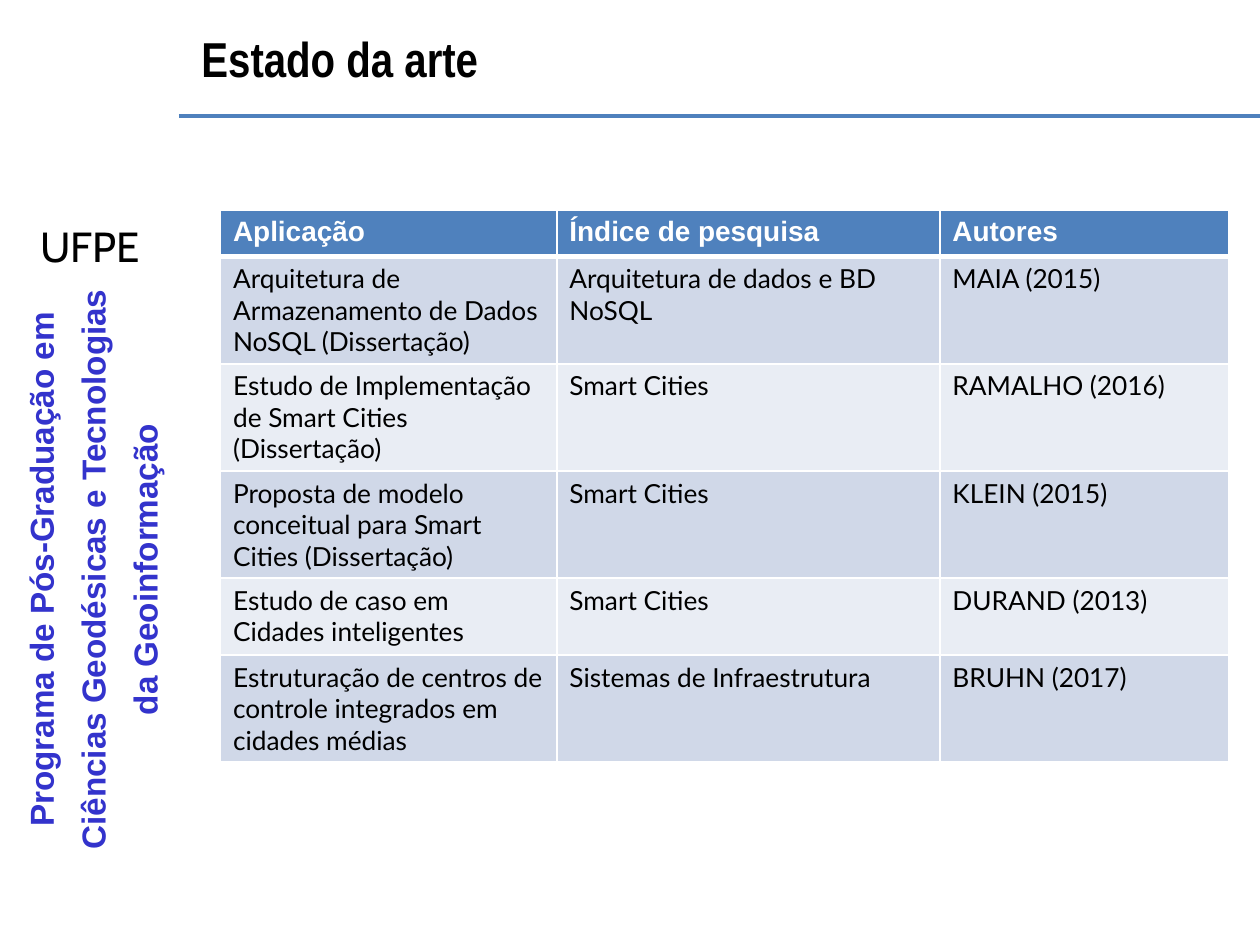
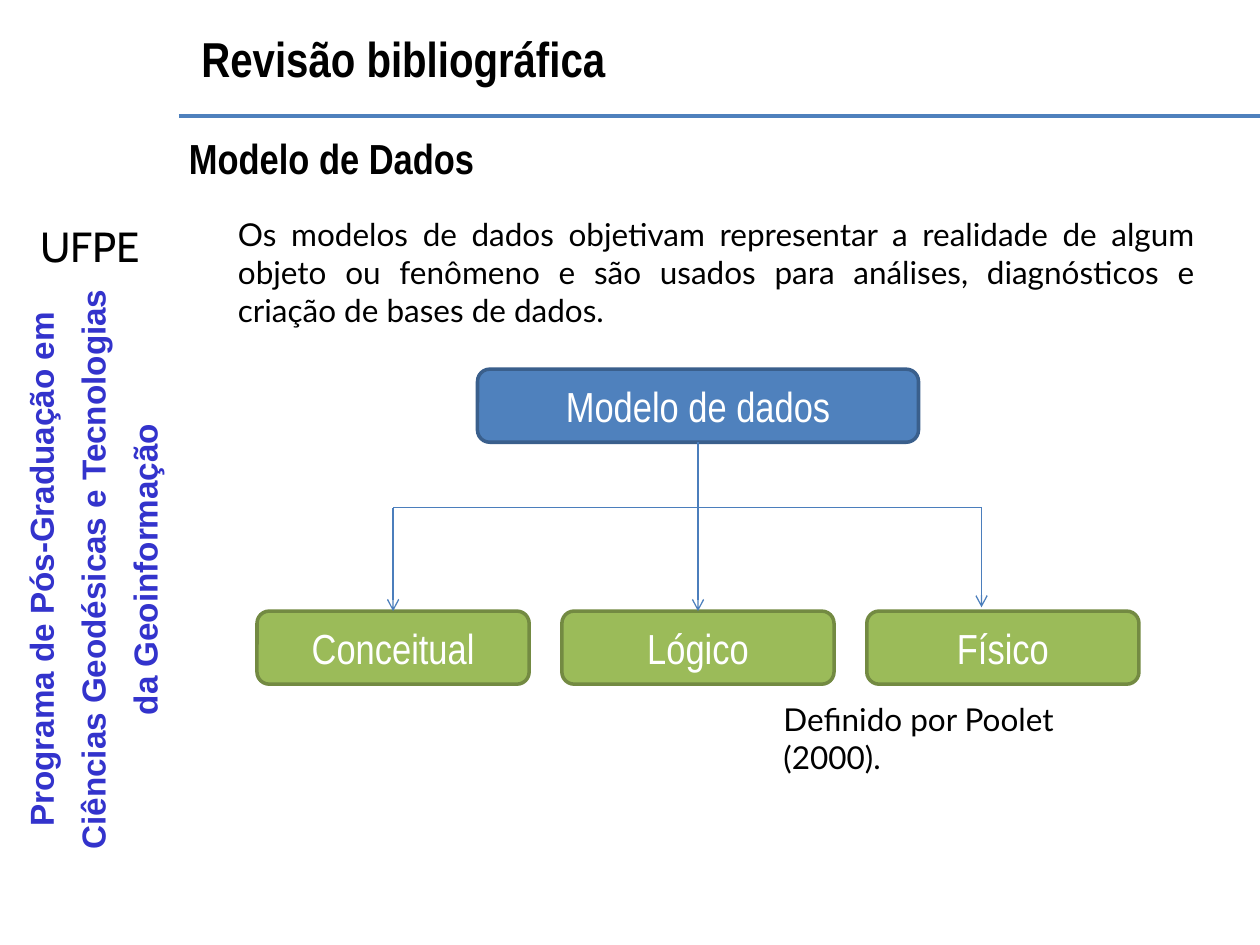
from lxml import etree
from pptx import Presentation
from pptx.dml.color import RGBColor
from pptx.enum.shapes import MSO_CONNECTOR, MSO_SHAPE
from pptx.enum.text import MSO_ANCHOR, PP_ALIGN
from pptx.oxml.ns import qn
from pptx.util import Inches, Pt

STRAIGHT = MSO_CONNECTOR.STRAIGHT
ROUNDED = MSO_SHAPE.ROUNDED_RECTANGLE
MIDDLE, TOP = MSO_ANCHOR.MIDDLE, MSO_ANCHOR.TOP
LEFT, CENTER, JUSTIFY = PP_ALIGN.LEFT, PP_ALIGN.CENTER, PP_ALIGN.JUSTIFY

# Grid of 100 columns and 75 rows over the slide
CELL = Inches(0.1)
COLUMNS, ROWS = 100, 75

# Shared colours and text formats
color = RGBColor.from_string
BLUE, LINE_BLUE, DARK_BLUE = "4F81BD", "4B7EBC", "3A5F8C"
GREEN, DARK_GREEN = "9BBB59", "738A42"
BLACK, WHITE, VIOLET = "000000", "FFFFFF", "3333CC"
BANDS = ["D0D8E8", "E9EDF4"]

TITLE = dict(name="Arial Narrow", size=Pt(28), bold=True, color=BLACK)
SUBTITLE = {**TITLE, "size": Pt(24)}
BOX_LABEL = dict(name="Arial Narrow", size=Pt(24), bold=False, color=WHITE)
BODY = dict(name="Lato", size=Pt(18), bold=False, color=BLACK)
SCHOOL = {**BODY, "name": "Cabin", "size": Pt(24)}
PROGRAM = dict(name="Arial", size=Pt(19), bold=True, color=VIOLET)
TABLE_HEAD = dict(name="Arial", size=Pt(16), bold=True, color=WHITE)
TABLE_BODY = {**BODY, "size": Pt(15)}


def write(frame, text, text_format, align=LEFT, anchor=TOP):
    frame.word_wrap = True
    frame.vertical_anchor = anchor
    paragraph = frame.paragraphs[0]
    paragraph.alignment = align
    run = paragraph.add_run()
    run.text = text
    for key, value in text_format.items():
        if key == "color":
            run.font.color.rgb = color(value)
        else:
            setattr(run.font, key, value)
    return paragraph


def draw_line(slide, ends, line_color, width, arrow=False):
    line = slide.shapes.add_connector(STRAIGHT, *(round(v * CELL) for v in ends))
    line.line.color.rgb = color(line_color)
    line.line.width = Pt(width)
    if arrow:
        etree.SubElement(line.line._get_or_add_ln(), qn("a:tailEnd"), type="arrow")
    etree.SubElement(line._element.spPr, qn("a:effectLst"))
    return line


prs = Presentation()
prs.slide_width, prs.slide_height = COLUMNS * CELL, ROWS * CELL
slides = []

# Side band, title and rule on both slides
for title in ["Estado da arte", "Revisão bibliográfica"]:
    slide = prs.slides.add_slide(prs.slide_layouts[6])
    slides.append(slide)
    for text, at, text_format, align, anchor in [
        ("UFPE", (2.2, 17, 11.6, 5), SCHOOL, LEFT, TOP),
        ("Programa de Pós-Graduação em Ciências Geodésicas e Tecnologias da Geoinformação",
         (-17.6, 39, 48, 12.4), PROGRAM, CENTER, TOP),
        (title, (15, 0, 44.2, 9.2), TITLE, LEFT, MIDDLE),
    ]:
        box = slide.shapes.add_textbox(*(round(v * CELL) for v in at))
        paragraph = write(box.text_frame, text, text_format, align, anchor)
        if text_format is PROGRAM:
            box.rotation = 270
            paragraph.line_spacing = 1.3
    draw_line(slide, (14.2, 9.2, COLUMNS, 9.2), BLUE, 2)

state_of_art, review = slides

# State of the art: table of earlier works
works = [
    ("Aplicação", "Índice de pesquisa", "Autores"),
    ("Arquitetura de Armazenamento de Dados NoSQL (Dissertação)",
     "Arquitetura de dados e BD NoSQL", "MAIA (2015)"),
    ("Estudo de Implementação de Smart Cities (Dissertação)", "Smart Cities", "RAMALHO (2016)"),
    ("Proposta de modelo conceitual para Smart Cities (Dissertação)",
     "Smart Cities", "KLEIN (2015)"),
    ("Estudo de caso em Cidades inteligentes", "Smart Cities", "DURAND (2013)"),
    ("Estruturação de centros de controle integrados em cidades médias",
     "Sistemas de Infraestrutura", "BRUHN (2017)"),
]
work_widths = [26.7, 30.4, 22.9]
work_heights = [3.4, 8.5, 8.5, 8.5, 6.1, 8.5]
table_at = (17.5, 16.7, sum(work_widths), sum(work_heights))
table = state_of_art.shapes.add_table(
    len(works), len(work_widths), *(round(v * CELL) for v in table_at)).table
for column, width in zip(table.columns, work_widths):
    column.width = round(width * CELL)
for r, (work, height) in enumerate(zip(works, work_heights)):
    table.rows[r].height = round(height * CELL)
    for c, text in enumerate(work):
        cell = table.cell(r, c)
        write(cell.text_frame, text, TABLE_BODY if r else TABLE_HEAD)
        # White borders, thicker under the heading
        for side in ["lnL", "lnR", "lnT", "lnB"]:
            thick = (r, side) in [(0, "lnB"), (1, "lnT")]
            border = etree.SubElement(cell._tc.get_or_add_tcPr(), qn("a:" + side),
                                      w=str(Pt(3 if thick else 1)))
            fill = etree.SubElement(border, qn("a:solidFill"))
            etree.SubElement(fill, qn("a:srgbClr"), val=WHITE)
        cell.fill.solid()
        cell.fill.fore_color.rgb = color(BANDS[(r - 1) % 2] if r else BLUE)

# Review: subtitle, definition and source
for text, at, text_format, align in [
    ("Modelo de Dados", (15, 10, 85, 5), SUBTITLE, LEFT),
    ("Os modelos de dados objetivam representar a realidade de algum objeto ou fenômeno "
     "e são usados para análises, diagnósticos e criação de bases de dados.",
     (17.9, 16.6, 77.9, 10.1), BODY, JUSTIFY),
    ("Definido por Poolet (2000).", (61.2, 55.1, 30.6, 7.1), BODY, LEFT),
]:
    box = review.shapes.add_textbox(*(round(v * CELL) for v in at))
    write(box.text_frame, text, text_format, align, MIDDLE if text_format is SUBTITLE else TOP)
    if text_format is SUBTITLE:
        for side in ["left", "top", "right", "bottom"]:
            setattr(box.text_frame, "margin_" + side, 0)

# Review: data model and its three levels
level_left, level_top, level_step, level_width, box_height = 20.4, 48.5, 24.2, 21.6, 5.8
model_boxes = [("Modelo de dados", (37.9, 29.3, 35, box_height), BLUE, DARK_BLUE)]
for i, level in enumerate(["Conceitual", "Lógico", "Físico"]):
    level_at = (level_left + i * level_step, level_top, level_width, box_height)
    model_boxes.append((level, level_at, GREEN, DARK_GREEN))
drawn_boxes = []
for text, at, fill_color, edge_color in model_boxes:
    box = review.shapes.add_shape(ROUNDED, *(round(v * CELL) for v in at))
    box.shadow.inherit = False
    box.fill.solid()
    box.fill.fore_color.rgb = color(fill_color)
    box.line.color.rgb = color(edge_color)
    box.line.width = Pt(2)
    write(box.text_frame, text, BOX_LABEL, CENTER, MIDDLE)
    drawn_boxes.append(box)
model, conceptual, logical, physical = drawn_boxes

# Review: stem, branches and arrows
stem_x, branch_y, arrow_end = 55.4, 40.3, 48.2
stem = draw_line(review, (stem_x, 35.1, stem_x, branch_y), LINE_BLUE, 0.75)
stem.begin_connect(model, 2)
for x, level_box in [(31.2, conceptual), (stem_x, logical), (77.9, physical)]:
    if x != stem_x:
        draw_line(review, (stem_x, branch_y, x, branch_y), LINE_BLUE, 0.75)
    arrow = draw_line(review, (x, branch_y, x, arrow_end), LINE_BLUE, 0.75, arrow=True)
    if level_box is not physical:
        arrow.end_connect(level_box, 0)

prs.save("out.pptx")
